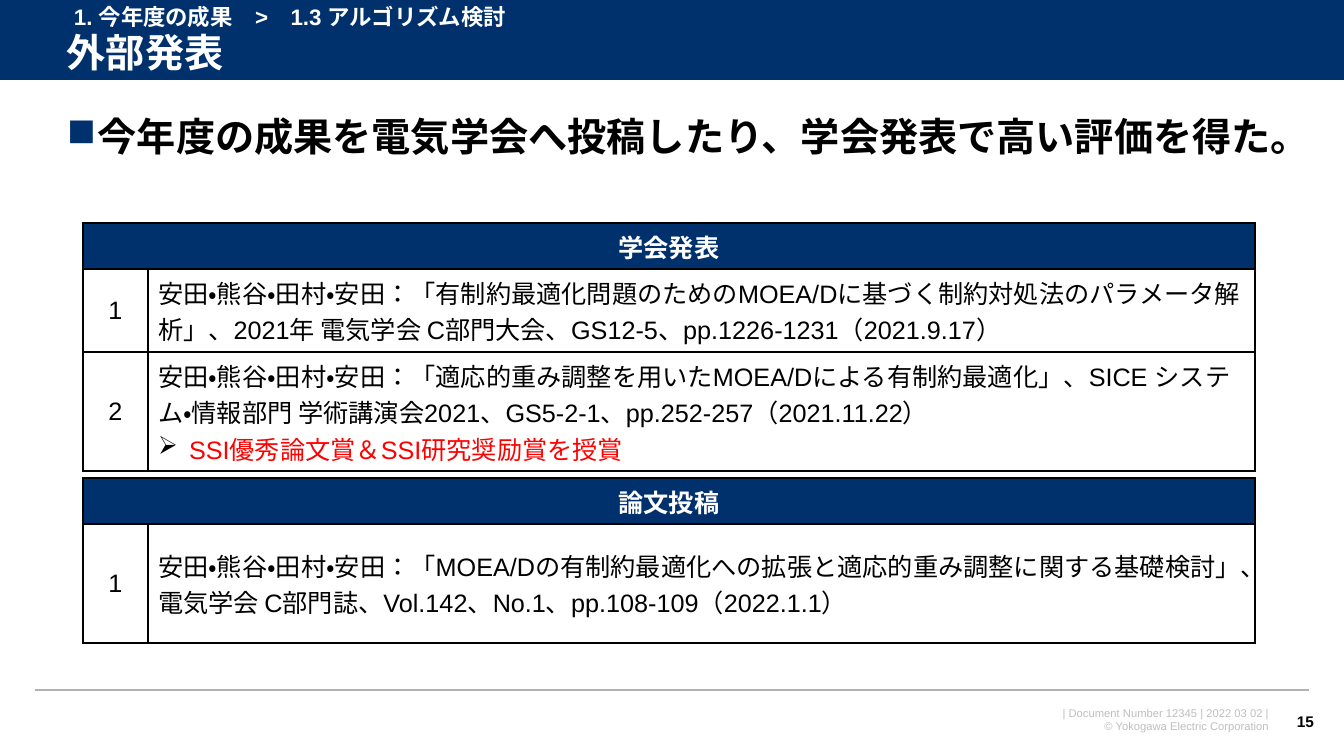
from dataclasses import dataclass

from lxml import etree
from pptx import Presentation
from pptx import util as u
from pptx.dml.color import RGBColor
from pptx.enum import lang, shapes, text
from pptx.oxml.ns import qn

SCALE = 12192000 / 1344
PAGE_WIDTH, PAGE_HEIGHT = 1344, 756
LEFT, CENTER, RIGHT = text.PP_ALIGN.LEFT, text.PP_ALIGN.CENTER, text.PP_ALIGN.RIGHT
TOP, MIDDLE = text.MSO_ANCHOR.TOP, text.MSO_ANCHOR.MIDDLE


@dataclass(frozen=True)
class Theme:
    font: str = "Arial"
    navy: str = "00316C"
    white: str = "FFFFFF"
    black: str = "000000"
    red: str = "FF0000"
    rule: str = "B2B2B2"
    footer: str = "BFBFBF"
    title_size: int = 28
    table_size: int = 18
    path_size: int = 16
    number_size: int = 11
    footer_size: int = 8
    bullet_indent: int = 31


THEME = Theme()


@dataclass(frozen=True)
class Para:
    text: str
    size: int = THEME.table_size
    color: str = THEME.black
    bold: bool = False
    align: text.PP_ALIGN = LEFT
    spacing: float = 1.0
    bullet: str = ""
    bullet_color: str = THEME.black


@dataclass(frozen=True)
class Label:
    left: int
    top: int
    width: int
    height: int
    paras: list[Para]
    anchor: text.MSO_ANCHOR = TOP
    wrap: bool = True


@dataclass(frozen=True)
class Rule:
    left: int
    right: int
    top: int
    color: str
    weight: float


@dataclass(frozen=True)
class Listing:
    top: int
    heading: str
    heights: list[int]
    entries: list[list[Para]]


def px(value: int) -> int:
    return round(value * SCALE)


def add_bullet(para, item: Para) -> None:
    props = para._p.get_or_add_pPr()
    indent = px(THEME.bullet_indent)
    props.set("marL", str(indent))
    props.set("indent", str(-indent))
    color = etree.SubElement(props, qn("a:buClr"))
    etree.SubElement(color, qn("a:srgbClr"), val=item.bullet_color)
    etree.SubElement(props, qn("a:buChar"), char=item.bullet)


def write(frame, items: list[Para]) -> None:
    for index, item in enumerate(items):
        para = frame.add_paragraph() if index else frame.paragraphs[0]
        para.text = item.text
        if item.bullet:
            add_bullet(para, item)
        para.alignment = item.align
        para.line_spacing = item.spacing
        for span in para.runs:
            span.font.name = THEME.font
            span.font.size = u.Pt(item.size)
            span.font.bold = item.bold
            span.font.color.rgb = RGBColor.from_string(item.color)
            span.font.language_id = lang.MSO_LANGUAGE_ID.JAPANESE


def draw_label(page, label: Label) -> None:
    box = page.shapes.add_textbox(px(label.left), px(label.top), px(label.width), px(label.height))
    box.text_frame.word_wrap = label.wrap
    box.text_frame.vertical_anchor = label.anchor
    write(box.text_frame, label.paras)


def draw_band(page, height: int) -> None:
    band = page.shapes.add_shape(shapes.MSO_SHAPE.RECTANGLE, 0, 0, px(PAGE_WIDTH), px(height))
    band.shadow.inherit = False
    band.fill.solid()
    band.fill.fore_color.rgb = RGBColor.from_string(THEME.navy)
    band.line.fill.background()


def draw_rule(page, rule: Rule) -> None:
    line = page.shapes.add_connector(
        shapes.MSO_CONNECTOR.STRAIGHT, px(rule.left), px(rule.top), px(rule.right), px(rule.top))
    line.line.color.rgb = RGBColor.from_string(rule.color)
    line.line.width = u.Pt(rule.weight)
    etree.SubElement(line._element.spPr, qn("a:effectLst"))


def style_cell(cell, fill: str | None) -> None:
    props = cell._tc.get_or_add_tcPr()
    for side in ("a:lnL", "a:lnR", "a:lnT", "a:lnB"):
        border = etree.SubElement(props, qn(side), w=str(u.Pt(1)))
        paint = etree.SubElement(border, qn("a:solidFill"))
        etree.SubElement(paint, qn("a:srgbClr"), val=THEME.black)
    if fill:
        cell.fill.solid()
        cell.fill.fore_color.rgb = RGBColor.from_string(fill)
    else:
        cell.fill.background()
    cell.vertical_anchor = MIDDLE


def draw_listing(page, listing: Listing) -> None:
    widths = [65, 1107]
    table = page.shapes.add_table(
        len(listing.heights), len(widths), px(83), px(listing.top),
        px(sum(widths)), px(sum(listing.heights))).table
    table.first_row = table.horz_banding = False
    for column, width in zip(table.columns, widths):
        column.width = px(width)
    for index, (row, height) in enumerate(zip(table.rows, listing.heights)):
        row.height = px(height)
        for cell in row.cells:
            style_cell(cell, None if index else THEME.navy)
    table.cell(0, 0).merge(table.cell(0, 1))
    heading = Para(listing.heading, color=THEME.white, bold=True, align=CENTER)
    write(table.cell(0, 0).text_frame, [heading])
    for number, entry in enumerate(listing.entries, 1):
        write(table.cell(number, 0).text_frame, [Para(str(number), align=CENTER)])
        write(table.cell(number, 1).text_frame, entry)


RULES = [
    Rule(0, PAGE_WIDTH, 81, THEME.white, 0.75),
    Rule(35, 1309, 690, THEME.rule, 1),
]
LABELS = [
    Label(956, 701, 323, 37, [
        Para(line, THEME.footer_size, THEME.footer, align=RIGHT)
        for line in ("| Document Number 12345 | 2022 03 02 |", "© Yokogawa Electric Corporation")]),
    Label(57, 26, 1257, 57, [
        Para("外部発表", THEME.title_size, THEME.white, True, spacing=0.9)], MIDDLE),
    Label(1280, 701, 44, 40, [
        Para("15", THEME.number_size, bold=True, align=RIGHT)], MIDDLE, False),
    Label(57, 113, 1257, 59, [
        Para("今年度の成果を電気学会へ投稿したり、学会発表で高い評価を得た。", THEME.title_size,
             bold=True, spacing=0.9, bullet="■", bullet_color=THEME.navy)]),
    Label(64, -2, 499, 37, [
        Para("1. 今年度の成果\u3000>\u30001.3 アルゴリズム検討".replace("\u3000", "　"),
             THEME.path_size, THEME.white, True)]),
]
LISTINGS = [
    Listing(223, "学会発表", [46, 83, 119], [
        [Para("安田・熊谷・田村・安田：「有制約最適化問題のためのMOEA/Dに基づく制約対処法のパラメータ解析」、"
              "2021年 電気学会 C部門大会、GS12-5、pp.1226-1231（2021.9.17）")],
        [Para("安田・熊谷・田村・安田：「適応的重み調整を用いたMOEA/Dによる有制約最適化」、"
              "SICE システム・情報部門 学術講演会2021、GS5-2-1、pp.252-257（2021.11.22）"),
         Para("SSI優秀論文賞＆SSI研究奨励賞を授賞", color=THEME.red, bullet="➢")],
    ]),
    Listing(478, "論文投稿", [46, 119], [
        [Para("安田・熊谷・田村・安田：「MOEA/Dの有制約最適化への拡張と適応的重み調整に関する基礎検討」、"),
         Para("電気学会 C部門誌、Vol.142、No.1、pp.108-109（2022.1.1）")],
    ]),
]


def main() -> None:
    deck = Presentation()
    deck.slide_width, deck.slide_height = px(PAGE_WIDTH), px(PAGE_HEIGHT)
    page = deck.slides.add_slide(deck.slide_layouts[6])
    draw_band(page, 81)
    for rule in RULES:
        draw_rule(page, rule)
    for label in LABELS:
        draw_label(page, label)
    for listing in LISTINGS:
        draw_listing(page, listing)
    deck.save("out.pptx")


if __name__ == "__main__":
    main()
